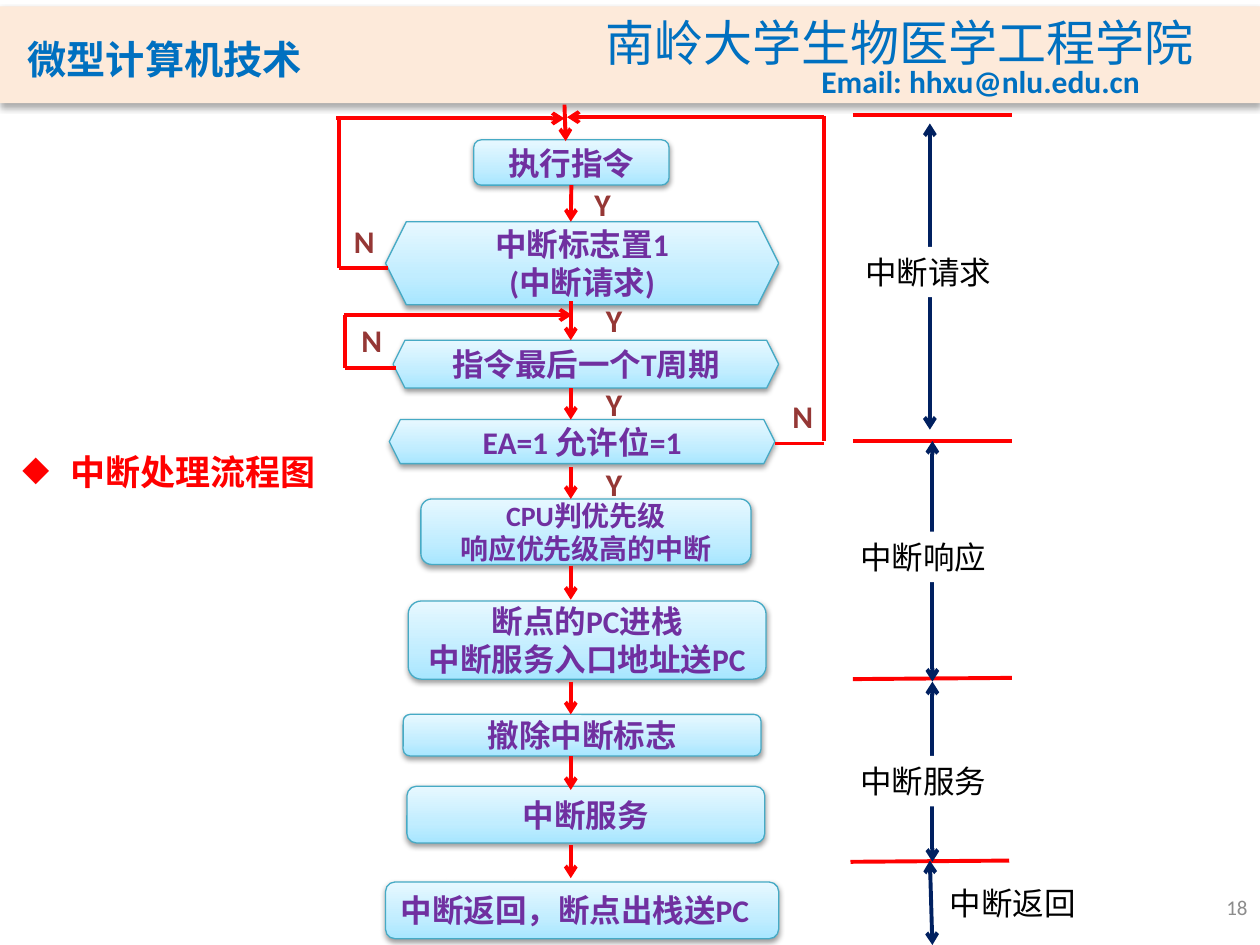
from copy import deepcopy
from lxml import etree
from pptx import Presentation
from pptx import util as u
from pptx.dml.color import RGBColor
from pptx.enum import shapes, text
from pptx.oxml.ns import qn

COLORS = {"band": "FDEADA", "blue": "0070C0", "red": "FF0000", "navy": "002060",
          "purple": "7030A0", "brown": "953735", "edge": "46AAC5", "gray": "8C8C8C",
          "black": "000000", "white": "FFFFFF"}
BOX_GRADIENT = [(0, "A7E6FF"), (0.35, "C1EDFF"), (1, "E7F8FF")]
SANS = "Noto Sans CJK SC"
LEFT, CENTER, RIGHT = text.PP_ALIGN.LEFT, text.PP_ALIGN.CENTER, text.PP_ALIGN.RIGHT
TOP, MIDDLE, BOTTOM = text.MSO_ANCHOR.TOP, text.MSO_ANCHOR.MIDDLE, text.MSO_ANCHOR.BOTTOM

presentation = Presentation()
presentation.slide_width, presentation.slide_height = u.Inches(10), u.Inches(7.5)
slide = presentation.slides.add_slide(presentation.slide_layouts[6])


def write(shape, lines, size, color, bold=True, align=LEFT, anchor=TOP,
          wrap=True, latin="Calibri", asian=SANS):
    frame = shape.text_frame
    frame.word_wrap = wrap
    frame.vertical_anchor = anchor
    for index, line in enumerate(lines):
        paragraph = frame.add_paragraph() if index else frame.paragraphs[0]
        paragraph.alignment = align
        run = paragraph.add_run()
        run.text = line
        run.font.size, run.font.bold, run.font.name = u.Pt(size), bold, latin
        run.font.color.rgb = RGBColor.from_string(COLORS[color])
        etree.SubElement(run.font._element, qn("a:ea"), typeface=asian)
    return frame.paragraphs[0]


def add_shadow(shape, alpha, blur, distance):
    shape.shadow.inherit = False
    effects = shape._element.spPr.find(qn("a:effectLst"))
    shadow = etree.SubElement(effects, qn("a:outerShdw"), blurRad=str(u.Pt(blur)),
                              dist=str(u.Pt(distance)), dir="5400000", rotWithShape="0")
    color = etree.SubElement(shadow, qn("a:srgbClr"), val=COLORS["black"])
    etree.SubElement(color, qn("a:alpha"), val=str(alpha * 1000))


# Header band
band = slide.shapes.add_shape(shapes.MSO_SHAPE.RECTANGLE, 0, u.Inches(0.05),
                              u.Inches(10), u.Inches(0.77))
band.fill.solid()
band.fill.fore_color.rgb = RGBColor.from_string(COLORS["band"])
band.line.fill.background()
add_shadow(band, 32, 3.5, 2.2)

# Header, side heading and page number
plain_texts = [
    ("微型计算机技术", (0.12, 0.16, 3.39, 0.56), 28, "blue",
     dict(anchor=BOTTOM, latin="Noto Sans CJK JP", asian="Noto Sans CJK JP")),
    ("南岭大学生物医学工程学院", (4.71, 0.05, 4.91, 0.57), 28, "blue",
     dict(bold=False, wrap=False, latin=SANS)),
    ("Email: hhxu@nlu.edu.cn", (6.42, 0.44, 2.75, 0.4), 18, "blue", dict(wrap=False)),
    ("18", (7.67, 7, 2.33, 0.4), 12, "gray", dict(bold=False, align=RIGHT, anchor=MIDDLE)),
    ("中断处理流程图", (0.08, 3.53, 2.56, 0.44), 20, "red", dict(wrap=False)),
]
paragraphs = []
for line, place, size, color, options in plain_texts:
    box = slide.shapes.add_textbox(*map(u.Inches, place))
    paragraphs.append(write(box, [line], size, color, **options))
paragraphs[0].runs[0].font._element.set("cap", "small")
bullet = paragraphs[-1]._p.get_or_add_pPr()
bullet.set("marL", str(u.Inches(0.38)))
bullet.set("indent", str(u.Inches(-0.38)))
etree.SubElement(bullet, qn("a:buChar"), char="◆")

# Flowchart steps
ROUND, HEXAGON = shapes.MSO_SHAPE.ROUNDED_RECTANGLE, shapes.MSO_SHAPE.HEXAGON
steps = [
    (ROUND, (3.76, 1.11, 1.55, 0.36), ["执行指令"], 18, CENTER),
    (HEXAGON, (3.06, 1.76, 3.12, 0.66), ["中断标志置1", "(中断请求)"], 18, CENTER),
    (HEXAGON, (3.12, 2.7, 3.06, 0.38), ["指令最后一个T周期"], 18, CENTER),
    (HEXAGON, (3.09, 3.33, 3.06, 0.35), ["EA=1 允许位=1"], 18, CENTER),
    (ROUND, (3.34, 3.96, 2.62, 0.52), ["CPU判优先级", "响应优先级高的中断"], 16, CENTER),
    (ROUND, (3.24, 4.77, 2.84, 0.62), ["断点的PC进栈", "中断服务入口地址送PC"], 18, CENTER),
    (ROUND, (3.2, 5.67, 2.84, 0.33), ["撤除中断标志"], 18, CENTER),
    (ROUND, (3.23, 6.24, 2.84, 0.45), ["中断服务"], 18, CENTER),
    (ROUND, (3.06, 7, 3.12, 0.45), ["中断返回，断点出栈送PC"], 18, LEFT),
]
step_shapes = []
for kind, place, lines, size, align in steps:
    shape = slide.shapes.add_shape(kind, *map(u.Inches, place))
    shape.fill.gradient()
    shape.fill.gradient_angle = 90
    stop_list = shape._element.spPr.find(".//" + qn("a:gsLst"))
    stop_list.insert(1, deepcopy(stop_list[0]))
    for stop, (position, color) in zip(shape.fill.gradient_stops, BOX_GRADIENT):
        stop.position = position
        stop.color.rgb = RGBColor.from_string(color)
    shape.line.color.rgb = RGBColor.from_string(COLORS["edge"])
    shape.line.width = u.Pt(0.75)
    add_shadow(shape, 38, 3.1, 1.6)
    write(shape, lines, size, "purple", align=align, anchor=MIDDLE)
    step_shapes.append(shape)

# Lines: ends, colour, arrowheads
TAIL, BOTH = ["tailEnd"], ["headEnd", "tailEnd"]
lines = [((4.53, top, 4.53, bottom), "red", TAIL) for top, bottom in
         [(1.47, 1.76), (2.39, 2.7), (3.08, 3.33), (3.71, 3.96), (4.49, 4.76),
          (5.41, 5.67), (6, 6.27), (6.71, 6.97)]]
lines += [
    ((4.48, 0.83, 4.49, 1.12), "red", TAIL),
    # Return loops for "N"
    ((2.69, 2.13, 3.08, 2.13), "red", []),
    ((2.69, 0.93, 2.69, 2.13), "red", []),
    ((2.67, 0.94, 4.48, 0.94), "red", TAIL),
    ((2.74, 2.92, 3.14, 2.92), "red", []),
    ((2.74, 2.5, 2.74, 2.92), "red", []),
    ((2.73, 2.5, 4.54, 2.5), "red", TAIL),
    ((6.15, 3.52, 6.54, 3.52), "red", []),
    ((6.54, 0.92, 6.54, 3.5), "red", []),
    ((6.54, 0.93, 4.5, 0.93), "red", TAIL),
    # Phase limits
    ((6.77, 0.91, 8.03, 0.91), "red", []),
    ((6.77, 3.5, 8.03, 3.5), "red", []),
    ((6.77, 5.39, 8.03, 5.38), "red", []),
    ((6.75, 6.84, 8.01, 6.83), "red", []),
    # Phase spans
    ((7.38, 0.98, 7.38, 3.41), "navy", BOTH),
    ((7.4, 3.5, 7.4, 5.41), "navy", BOTH),
    ((7.4, 5.41, 7.4, 6.84), "navy", BOTH),
    ((7.38, 6.83, 7.4, 7.5), "navy", BOTH),
]
connectors = []
for ends, color, heads in lines:
    connector = slide.shapes.add_connector(shapes.MSO_CONNECTOR.STRAIGHT,
                                           *map(u.Inches, ends))
    connector.line.color.rgb = RGBColor.from_string(COLORS[color])
    connector.line.width = u.Pt(2.25)
    for head in heads:
        etree.SubElement(connector.line._get_or_add_ln(), qn("a:" + head), type="arrow")
    etree.SubElement(connector._element.spPr, qn("a:effectLst"))
    connectors.append(connector)
connectors[0].begin_connect(step_shapes[0], 2)

# Branch labels
for letter, left, top in [("Y", 4.62, 1.42), ("Y", 4.71, 2.34), ("Y", 4.71, 3.01),
                          ("Y", 4.71, 3.64), ("N", 2.71, 1.71), ("N", 2.77, 2.5),
                          ("N", 6.19, 3.1)]:
    label = slide.shapes.add_textbox(u.Inches(left), u.Inches(top),
                                     u.Inches(0.36 if letter == "N" else 0.33), u.Inches(0.4))
    write(label, [letter], 18, "brown", wrap=False)

# Phase names
for name, left, top in [("中断请求", 6.77, 1.96), ("中断响应", 6.73, 4.22),
                        ("中断服务", 6.73, 6), ("中断返回", 7.44, 6.97)]:
    phase = slide.shapes.add_textbox(u.Inches(left), u.Inches(top),
                                     u.Inches(1.34), u.Inches(0.4))
    phase.fill.solid()
    phase.fill.fore_color.rgb = RGBColor.from_string(COLORS["white"])
    write(phase, [name], 18, "black", bold=False)

presentation.save("out.pptx")
